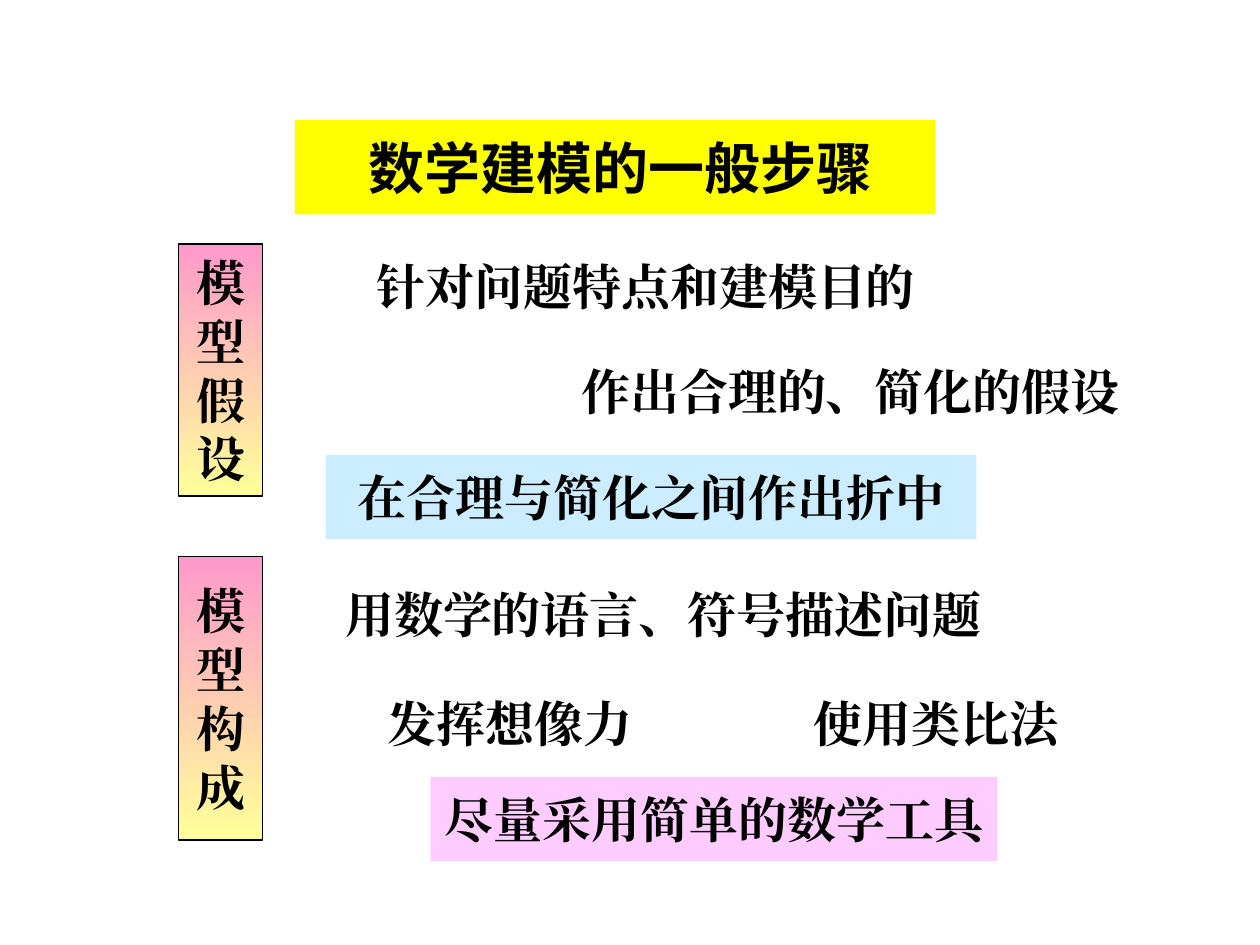
from lxml import etree
from pptx import Presentation
from pptx.dml.color import RGBColor
from pptx.enum.shapes import MSO_SHAPE
from pptx.enum.text import MSO_ANCHOR, MSO_AUTO_SIZE, PP_ALIGN
from pptx.oxml.ns import qn
from pptx.util import Pt

RECTANGLE = MSO_SHAPE.RECTANGLE
MIDDLE = MSO_ANCHOR.MIDDLE
NO_AUTOFIT = MSO_AUTO_SIZE.NONE
CENTER = PP_ALIGN.CENTER

BLACK = RGBColor(0x00, 0x00, 0x00)
YELLOW = RGBColor(0xFF, 0xFF, 0x00)
PALE_BLUE = RGBColor(0xCC, 0xEC, 0xFF)
PALE_PINK = RGBColor(0xFF, 0xCC, 0xFF)
ROSE = RGBColor(0xFF, 0x99, 0xCC)
CREAM = RGBColor(0xFF, 0xFF, 0x99)

BODY_FONT = "Times New Roman"
TITLE_FONT = "Noto Sans CJK SC"
LABEL_LEFT, LABEL_WIDTH = 102, 48
ROW_HEIGHT = 48

TITLE = ("数学建模的一般步骤", 168.5, 68.5, 366, 54)
STAGES = [
    {
        "label": "模型假设", "top": 139.5, "height": 144,
        "statements": [
            ("针对问题特点和建模目的", 198, 139.5, 342, ROW_HEIGHT),
            ("作出合理的、简化的假设", 300, 199.5, 372, ROW_HEIGHT),
        ],
        "conclusion": ("在合理与简化之间作出折中", 186, 260, 372, ROW_HEIGHT),
        "color": PALE_BLUE,
    },
    {
        "label": "模型构成", "top": 318, "height": 162,
        "statements": [
            ("用数学的语言、符号描述问题", 190, 324, 378, 54),
            ("发挥想像力", 201.5, 389, 180, ROW_HEIGHT),
            ("使用类比法", 445, 389, 180, ROW_HEIGHT),
        ],
        "conclusion": ("尽量采用简单的数学工具", 246, 444, 324, ROW_HEIGHT),
        "color": PALE_PINK,
    },
]


def write_text(box, lines, size=28, font=BODY_FONT, left_inset=7.2):
    frame = box.text_frame
    frame.auto_size = NO_AUTOFIT
    frame.word_wrap = False
    frame.vertical_anchor = MIDDLE
    frame.margin_left, frame.margin_right = Pt(left_inset), Pt(7.2)
    frame.margin_top = frame.margin_bottom = Pt(3.6)
    for index, line in enumerate(lines):
        para = frame.add_paragraph() if index else frame.paragraphs[0]
        para.alignment = CENTER
        para.space_before = Pt(0)
        span = para.add_run()
        span.text = line
        span.font.size = Pt(size)
        span.font.bold = True
        span.font.name = font
        span.font.color.rgb = BLACK
        east_asian = etree.SubElement(span.font._element, qn("a:ea"))
        east_asian.set("typeface", font)


def add_rectangle(page, place):
    box = page.shapes.add_shape(RECTANGLE, *map(Pt, place))
    box.shadow.inherit = False
    box.line.fill.background()
    return box


def add_title(page):
    text, *place = TITLE
    title = page.shapes.title
    title.left, title.top, title.width, title.height = map(Pt, place)
    title.fill.solid()
    title.fill.fore_color.rgb = YELLOW
    write_text(title, [text], size=32, font=TITLE_FONT, left_inset=14)


def add_label(page, stage):
    box = add_rectangle(page, (LABEL_LEFT, stage["top"], LABEL_WIDTH, stage["height"]))
    box.fill.gradient()
    box.fill.gradient_angle = 270
    for stop, color, position in zip(box.fill.gradient_stops, (ROSE, CREAM), (0, 1)):
        stop.color.rgb = color
        stop.position = position
    box.line.color.rgb = BLACK
    box.line.width = Pt(0.75)
    write_text(box, stage["label"])


def add_stage(page, stage):
    add_label(page, stage)
    for text, *place in stage["statements"]:
        write_text(page.shapes.add_textbox(*map(Pt, place)), [text])
    text, *place = stage["conclusion"]
    box = add_rectangle(page, place)
    box.fill.solid()
    box.fill.fore_color.rgb = stage["color"]
    write_text(box, [text])


def main():
    deck = Presentation()
    deck.slide_width, deck.slide_height = Pt(720), Pt(540)
    page = deck.slides.add_slide(deck.slide_layouts[5])
    add_title(page)
    for stage in STAGES:
        add_stage(page, stage)
    deck.save("out.pptx")


if __name__ == "__main__":
    main()
